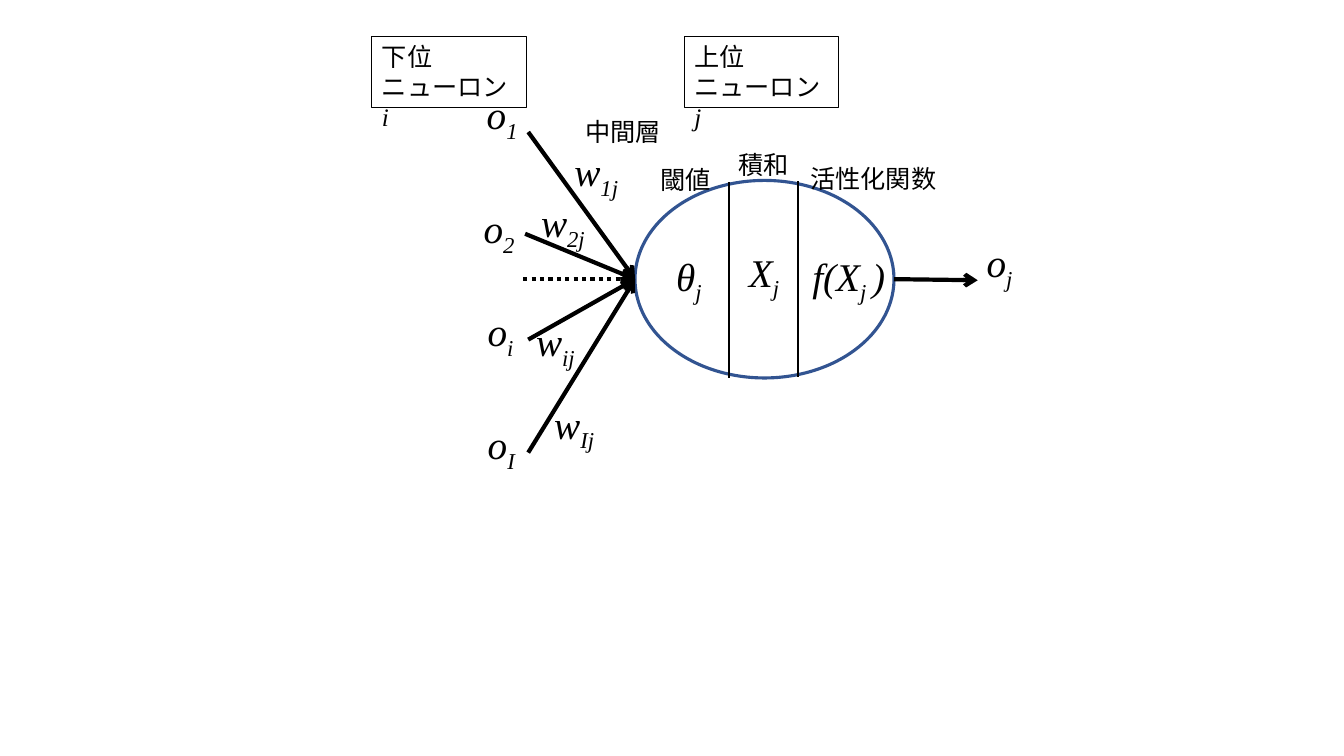
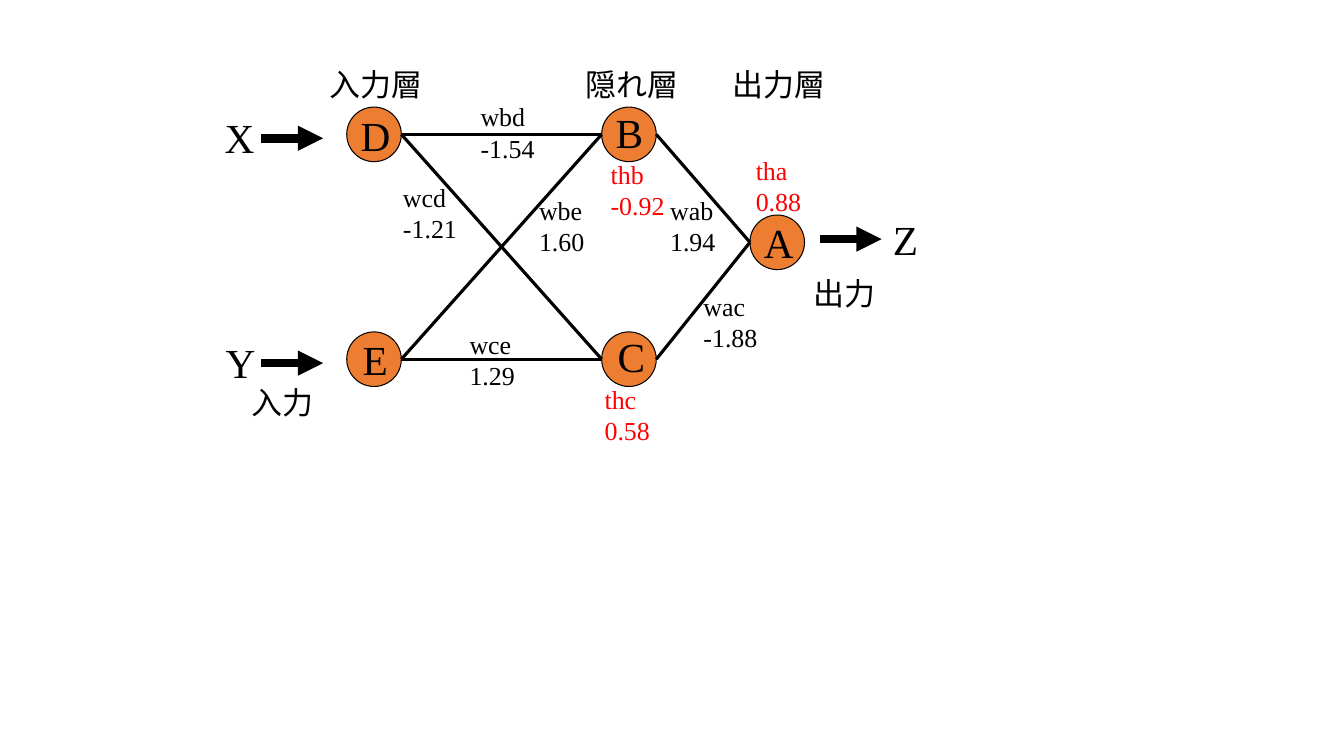
import collections

import lxml.etree
import pptx
import pptx.dml.color
import pptx.enum.dml
import pptx.enum.shapes
import pptx.enum.text
import pptx.oxml.ns
import pptx.util

Pt = pptx.util.Pt
qn = pptx.oxml.ns.qn
Box = collections.namedtuple("Box", "left top width height")

BLACK = pptx.dml.color.RGBColor(0x00, 0x00, 0x00)
RED = pptx.dml.color.RGBColor(0xFF, 0x00, 0x00)
BLUE = pptx.dml.color.RGBColor(0x32, 0x54, 0x91)
ORANGE = pptx.dml.color.RGBColor(0xED, 0x7D, 0x31)
JAPANESE = "Noto Sans CJK JP"
SERIF = "Times New Roman"


def set_font(paragraph, size, name, color, italic=False):
    font = paragraph.font
    font.size = Pt(size)
    font.name = name
    font.italic = italic
    font.color.rgb = color
    properties = paragraph._p.pPr.find(qn("a:defRPr"))
    lxml.etree.SubElement(properties, qn("a:ea"), typeface=JAPANESE)


def add_label(slide, box, lines, size, name=SERIF, color=BLACK, italic=False):
    label = slide.shapes.add_textbox(*map(Pt, box))
    frame = label.text_frame
    frame.word_wrap = False
    frame.auto_size = pptx.enum.text.MSO_AUTO_SIZE.SHAPE_TO_FIT_TEXT
    for index, line in enumerate(lines):
        paragraph = frame.add_paragraph() if index else frame.paragraphs[0]
        set_font(paragraph, size, name, color, italic)
        paragraph.add_run().text = line
    return label


def add_symbol(slide, box, base, subscript, ending=""):
    label = add_label(slide, box, [base], 28, italic=True)
    paragraph = label.text_frame.paragraphs[0]
    run = paragraph.add_run()
    run.text = subscript
    run._r.get_or_add_rPr().set("baseline", "-25000")
    if ending:
        paragraph.add_run().text = ending


def add_line(slide, start, end, width, arrowhead=None, dotted=False):
    connector = slide.shapes.add_connector(
        pptx.enum.shapes.MSO_CONNECTOR.STRAIGHT, *map(Pt, (*start, *end)))
    connector.line.color.rgb = BLACK
    connector.line.width = Pt(width)
    if dotted:
        connector.line.dash_style = pptx.enum.dml.MSO_LINE.ROUND_DOT
    if arrowhead:
        lxml.etree.SubElement(connector.line._get_or_add_ln(), qn("a:tailEnd"), type=arrowhead)
    lxml.etree.SubElement(connector._element.spPr, qn("a:effectLst"))


def add_ellipse(slide, box, line_color, line_width, fill_color=None):
    ellipse = slide.shapes.add_shape(pptx.enum.shapes.MSO_SHAPE.OVAL, *map(Pt, box))
    ellipse.shadow.inherit = False
    if fill_color is None:
        ellipse.fill.background()
    else:
        ellipse.fill.solid()
        ellipse.fill.fore_color.rgb = fill_color
    ellipse.line.color.rgb = line_color
    ellipse.line.width = Pt(line_width)


def add_neuron_heading(slide, box, level, index):
    heading = add_label(slide, box, [level, "ニューロン"], 18, JAPANESE)
    heading.line.color.rgb = BLACK
    heading.line.width = Pt(0.75)
    frame = heading.text_frame
    frame.auto_size = pptx.enum.text.MSO_AUTO_SIZE.NONE
    frame.word_wrap = True
    frame.margin_right = Pt(9)
    run = frame.paragraphs[1].add_run()
    run.text = index
    run.font.name = SERIF
    run.font.italic = True


def add_input_fan(slide, box):
    def at(x, y):
        return box.left + x, box.top + y

    tip = at(box.width, 138.4)
    inputs = [
        ("1", (2.6, 0.2), 38.2, (39.3, 33.3), (65.2, 40.5), 48.2),
        ("2", (0.4, 81.6), 38.2, (37.1, 106), (41.4, 77.2), 48.2),
        ("i", (3.3, 155), 33.8, (39.3, 181.6), (37.8, 162.2), 43.9),
        ("I", (3.3, 235.6), 35.3, (39.3, 262.3), (50.8, 221.2), 44.6),
    ]
    for index, source, source_width, start, weight, weight_width in inputs:
        add_line(slide, at(*start), tip, 3, "arrow")
        add_symbol(slide, Box(*at(*source), source_width, 41), "o", index)
        add_symbol(slide, Box(*at(*weight), weight_width, 41), "w", index + "j")
    add_line(slide, at(35.7, 138.4), tip, 3, "arrow", dotted=True)
    add_label(slide, Box(*at(73.1, 18.9), 69.1, 28.8), ["中間層"], 18, JAPANESE)


def add_neuron_cell(slide, box):
    add_ellipse(slide, box, BLUE, 2.25)
    for x, y in [(67, 1.4), (116.6, 0.7)]:
        x, y = box.left + x, box.top + y
        add_line(slide, (x, y), (x, y + 139.7), 1.5)
    for x, y, width, *symbol in [
        (22.3, 47.5, 33.8, "θ", "j"),
        (74.2, 44.6, 36.7, "X", "j"),
        (119.5, 47.5, 68.4, "f(X", "j ", ")"),
    ]:
        add_symbol(slide, Box(box.left + x, box.top + y, width, 41), *symbol)
    for x, y, width, caption in [
        (10.8, -15.1, 51.1, "閾値"),
        (67, -25.9, 51.1, "積和"),
        (118.1, -15.9, 105.1, "活性化関数"),
    ]:
        add_label(slide, Box(box.left + x, box.top + y, width, 28.8), [caption], 18, JAPANESE)


def add_neuron_output(slide, box):
    add_line(slide, (box.left, box.top + 32.4), (box.left + 59.8, box.top + 33.2), 3, "arrow")
    add_symbol(slide, Box(box.left + 59.1, box.top, 33.8, box.height), "o", "j")


def add_network(slide, box):
    diameter = 39
    input_x, hidden_x, output_x = (box.left + x for x in (97.7, 279.8, 385.7))
    upper_y, lower_y, middle_y = (box.top + y for y in (33.3, 193.9, 110.4))
    nodes = {
        "D": (input_x, upper_y, 2.9, -1.4, 36),
        "E": (input_x, lower_y, 4.3, -2.2, 32.4),
        "B": (hidden_x, upper_y, 2.9, -3.6, 34.6),
        "C": (hidden_x, lower_y, 4.3, -4.3, 34.6),
        "A": (output_x, middle_y, 2.9, -2.2, 36),
    }
    for x, y, *_ in nodes.values():
        add_ellipse(slide, Box(x, y, diameter, diameter), BLACK, 0.75, ORANGE)
    for first, second in ["DB", "EB", "EC", "BA", "CA", "DC"]:
        start_x, start_y = nodes[first][:2]
        end_x, end_y = nodes[second][:2]
        add_line(slide, (start_x + diameter, start_y + diameter / 2),
                 (end_x, end_y + diameter / 2), 2.25)
    for letter, (x, y, shift_x, shift_y, width) in nodes.items():
        add_label(slide, Box(x + shift_x, y + shift_y, width, 43.2), [letter], 29.5)
    for x, caption in [(78.2, "入力層"), (261.1, "隠れ層"), (366.2, "出力層")]:
        add_label(slide, Box(box.left + x, box.top, 81.4, 33.8), [caption], 22.1)
    for name, value, x, y, color in [
        ("wbd", "-1.54", 186.2, 25.4, BLACK),
        ("wcd", "-1.21", 130.8, 83, BLACK),
        ("wbe", "1.60", 228, 92.4, BLACK),
        ("wce", "1.29", 178.3, 188.1, BLACK),
        ("wab", "1.94", 321.6, 92.4, BLACK),
        ("wac", "-1.88", 345.4, 160.8, BLACK),
        ("thb", "-0.92", 279.1, 66.4, RED),
        ("thc", "0.58", 274.8, 227, RED),
        ("tha", "0.88", 382.8, 63.6, RED),
    ]:
        width = 53.3 if value.startswith("-") else 47.5
        add_label(slide, Box(box.left + x, box.top + y, width, 51.8), [name, value], 18.5,
                  color=color)


def add_signals(slide, box):
    for letter, x, y, arrow_x, arrow_y in [
        ("X", 3.4, 33.3, 36.5, 55.6),
        ("Y", 4.1, 193.9, 36.5, 216.2),
        ("Z", 480.7, 106, 435.4, 127.6),
    ]:
        start_x, arrow_y = box.left + arrow_x, box.top + arrow_y
        add_line(slide, (start_x, arrow_y), (start_x + 44.3, arrow_y), 6, "triangle")
        add_label(slide, Box(box.left + x, box.top + y, 33.8, 43.2), [letter], 29.5)
    for caption, x, y in [("入力", 22.8, 227), ("出力", 423.8, 149.2)]:
        add_label(slide, Box(box.left + x, box.top + y, 59, 33.8), [caption], 22.1)


def build_neuron_slide(slide):
    add_neuron_cell(slide, Box(453.6, 128.9, 185, 141.1))
    add_input_fan(slide, Box(338, 61, 115.6, 276.6))
    add_neuron_output(slide, Box(638.6, 167, 92.9, 41))
    add_neuron_heading(slide, Box(265.7, 25.9, 110.2, 51.1), "下位", "i")
    add_neuron_heading(slide, Box(488.9, 25.9, 110.2, 51.1), "上位", "j")


def build_network_slide(slide):
    box = Box(150, 43.2, 514.5, 278.8)
    add_network(slide, box)
    add_signals(slide, box)


presentation = pptx.Presentation()
presentation.slide_width = Pt(960)
presentation.slide_height = Pt(540)
for build_slide in (build_neuron_slide, build_network_slide):
    build_slide(presentation.slides.add_slide(presentation.slide_layouts[6]))
presentation.save("out.pptx")
